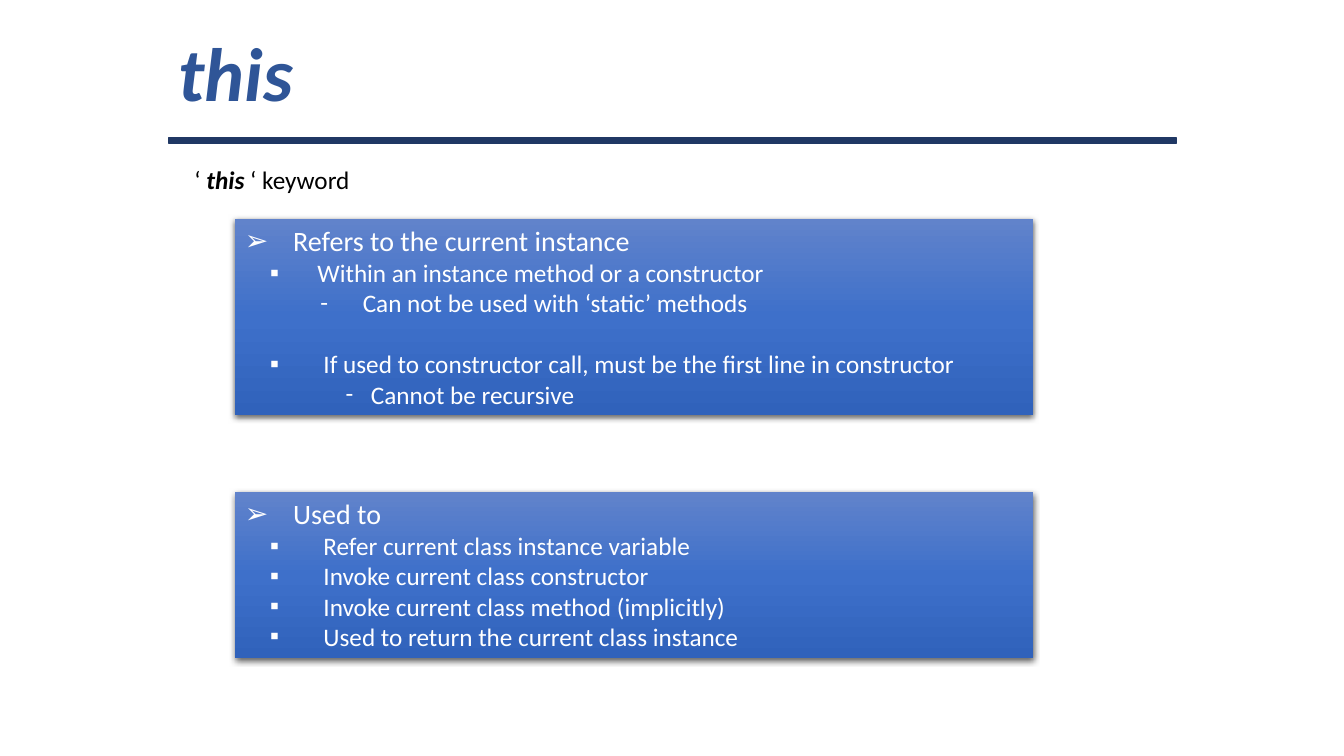
"""Build the slide that explains the 'this' keyword."""
from pptx import Presentation
from pptx.dml.color import RGBColor
from pptx.enum.shapes import MSO_SHAPE
from pptx.enum.text import MSO_ANCHOR as Anchor, PP_ALIGN as Align
from pptx.oxml import parse_xml
from pptx.oxml.ns import nsdecls
from pptx.util import Inches, Pt

NAVY, BLUE, BLACK, WHITE = "203864", "2F5597", "000000", "FFFFFF"
GRADIENT = [(0, "6183CB"), (50, "3E70CA"), (100, "3062BB")]

TITLE = ("this", (1.67, 0, 7.83, 1.42),
         dict(name="Calibri", size=54, color=BLUE, bold=True, italic=True))
RULE = (1.67, 1.37, 10, 0.05)
KEYWORD = [("‘ ", False), ("this", True), (" ‘ keyword", False)]
KEYWORD_AT = (1.83, 1.58, 1.76, 0.4)

HEAD = dict(level=0, bullet="➢", start=0, text=0.48, size=20)
POINT = dict(level=1, bullet="▪", start=0.25, text=0.78, size=18)
FIRST_POINT = POINT | dict(text=0.72)
DETAIL = dict(level=2, bullet="-", start=0.75, text=1.17, size=18)
LAST_DETAIL = DETAIL | dict(start=1, text=1.25)
PANELS = [
    ((2.33, 2.17, 7.92, 1.95), [
        ("Refers to the current instance", HEAD),
        ("Within an instance method or a constructor", FIRST_POINT),
        ("Can not be used with ‘static’ methods", DETAIL),
        ("If used to constructor call, must be the first line in constructor",
         POINT | dict(before=22)),
        ("Cannot be recursive", LAST_DETAIL),
    ]),
    ((2.33, 4.88, 7.92, 1.65), [
        ("Used to", HEAD),
        ("Refer current class instance variable", POINT),
        ("Invoke current class constructor", POINT),
        ("Invoke current class method (implicitly)", POINT),
        ("Used to return the current class instance", POINT),
    ]),
]


def rgb(code):
    return RGBColor.from_string(code)


def inches(place):
    return [Inches(value) for value in place]


def add_span(para, text, style):
    span = para.add_run()
    span.text = text
    for key, value in style.items():
        if key == "color":
            span.font.color.rgb = rgb(value)
        else:
            setattr(span.font, key, Pt(value) if key == "size" else value)


def style_panel(panel):
    panel.line.fill.background()
    stops = "".join(f'<a:gs pos="{pos * 1000}"><a:srgbClr val="{code}"/></a:gs>'
                    for pos, code in GRADIENT)
    panel.line._ln.addprevious(parse_xml(
        f'<a:gradFill {nsdecls("a")} rotWithShape="1"><a:gsLst>{stops}</a:gsLst>'
        '<a:lin ang="5400000" scaled="0"/></a:gradFill>'))
    panel._element.spPr.append(parse_xml(
        f'<a:effectLst {nsdecls("a")}><a:outerShdw blurRad="{Pt(4.5)}" '
        f'dist="{Pt(1.5)}" dir="5400000" algn="ctr" rotWithShape="0">'
        f'<a:srgbClr val="{BLACK}"><a:alpha val="63000"/></a:srgbClr>'
        '</a:outerShdw></a:effectLst>'))


def add_item(para, text, form):
    para.level = form["level"]
    para.alignment = Align.LEFT
    if "before" in form:
        para.space_before = Pt(form["before"])
    props = para._p.get_or_add_pPr()
    props.set("marL", str(Inches(form["text"])))
    props.set("indent", str(Inches(form["start"] - form["text"])))
    props.append(parse_xml(f'<a:buFont {nsdecls("a")} typeface="Calibri"/>'))
    props.append(parse_xml(f'<a:buChar {nsdecls("a")} char="{form["bullet"]}"/>'))
    add_span(para, text, dict(name="Calibri", size=form["size"], color=WHITE))


def add_panel(page, place, items):
    panel = page.shapes.add_shape(MSO_SHAPE.RECTANGLE, *inches(place))
    style_panel(panel)
    frame = panel.text_frame
    frame.word_wrap = True
    frame.vertical_anchor = Anchor.TOP
    for index, (text, form) in enumerate(items):
        para = frame.add_paragraph() if index else frame.paragraphs[0]
        add_item(para, text, form)


def main():
    deck = Presentation()
    deck.slide_width, deck.slide_height = inches((13.33, 7.5))
    page = deck.slides.add_slide(deck.slide_layouts[5])

    text, place, style = TITLE
    title = page.shapes.title
    title.left, title.top, title.width, title.height = inches(place)
    title.text_frame.vertical_anchor = Anchor.MIDDLE
    heading = title.text_frame.paragraphs[0]
    heading.alignment = Align.LEFT
    add_span(heading, text, style)

    rule = page.shapes.add_shape(MSO_SHAPE.RECTANGLE, *inches(RULE))
    rule.shadow.inherit = False
    rule.fill.solid()
    rule.fill.fore_color.rgb = rule.line.color.rgb = rgb(NAVY)
    rule.line.width = Pt(1)

    box = page.shapes.add_textbox(*inches(KEYWORD_AT))
    box.text_frame.word_wrap = False
    for text, strong in KEYWORD:
        add_span(box.text_frame.paragraphs[0], text,
                 dict(name="Calibri", size=18, color=BLACK,
                      bold=strong, italic=strong))

    for place, items in PANELS:
        add_panel(page, place, items)
    deck.save("out.pptx")


if __name__ == "__main__":
    main()
